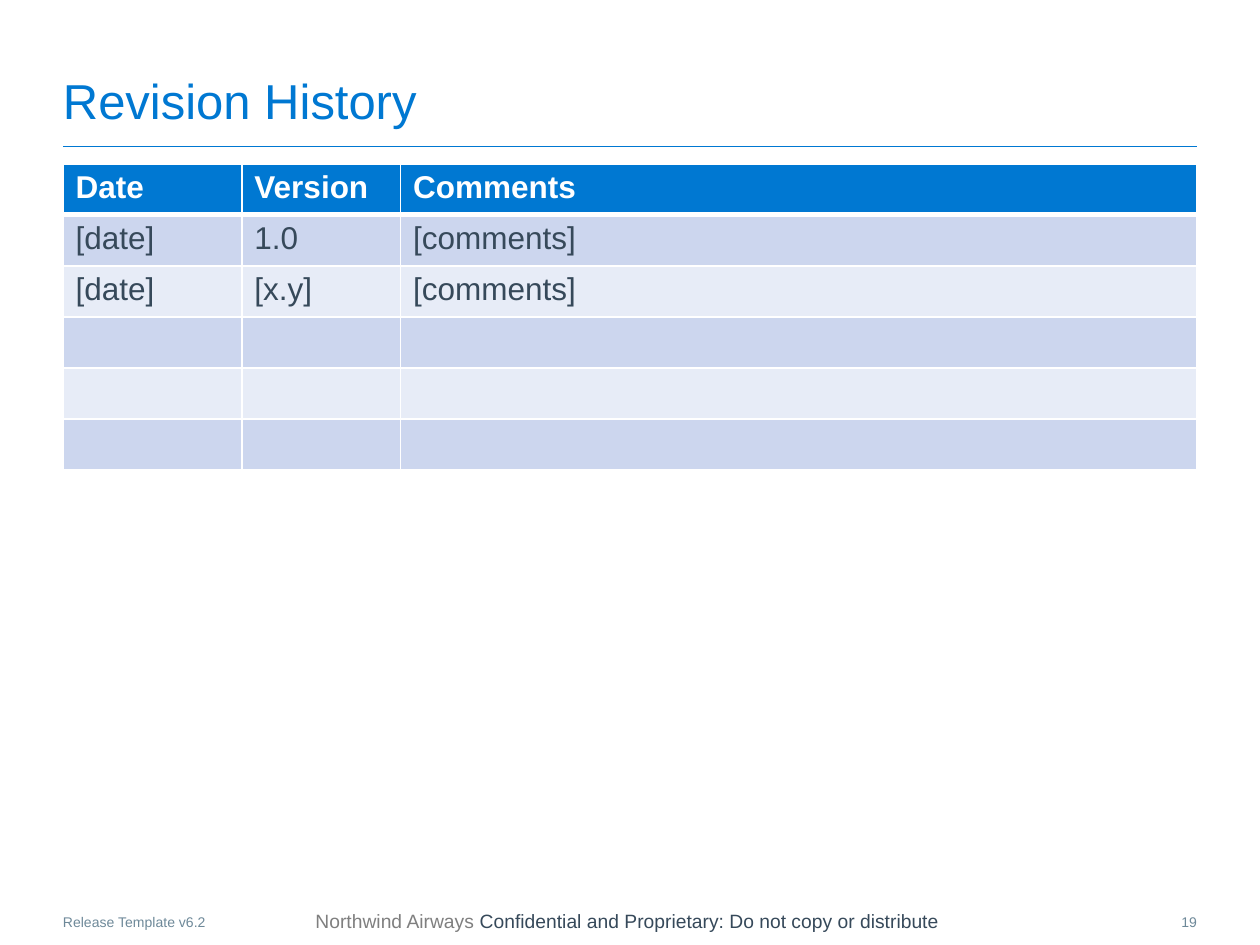
from lxml.etree import SubElement
from pptx import Presentation
from pptx.dml.color import RGBColor
from pptx.enum.shapes import MSO_CONNECTOR
from pptx.enum.text import MSO_ANCHOR as Anchor, PP_ALIGN as Align
from pptx.oxml.ns import qn
from pptx.util import Inches, Pt

BLUE = RGBColor(0x00, 0x78, 0xD2)
SLATE = RGBColor(0x36, 0x49, 0x5A)
GRAY = RGBColor(0x7F, 0x7F, 0x7F)
MUTED = RGBColor(0x6E, 0x89, 0x99)
WHITE = RGBColor(0xFF, 0xFF, 0xFF)
BAND_DARK = RGBColor(0xCC, 0xD6, 0xEE)
BAND_LIGHT = RGBColor(0xE7, 0xEC, 0xF7)
FONT = "Arial"

COLUMN_WIDTHS = (1.42, 1.26, 6.32)
REVISIONS = (
    ("Date", "Version", "Comments"),
    ("[date]", "1.0", "[comments]"),
    ("[date]", "[x.y]", "[comments]"),
    ("", "", ""),
    ("", "", ""),
    ("", "", ""),
)


def style(font, size, color, bold=False):
    font.name = FONT
    font.size = Pt(size)
    font.bold = bold
    font.color.rgb = color


def add_text(slide, box, pieces, size, align=Align.LEFT, anchor=Anchor.TOP, wrap=True):
    """Place one paragraph made of (text, color) pieces."""
    frame = slide.shapes.add_textbox(*map(Inches, box)).text_frame
    frame.margin_left = frame.margin_right = 0
    frame.margin_top = frame.margin_bottom = 0
    frame.word_wrap = wrap
    frame.vertical_anchor = anchor
    paragraph = frame.paragraphs[0]
    paragraph.alignment = align
    for text, color in pieces:
        run = paragraph.add_run()
        run.text = text
        style(run.font, size, color)


def add_header(slide, left, top, width, height):
    # Title above a thin rule
    add_text(slide, (left, top, width, 0.61), [("Revision History", BLUE)], 28,
             anchor=Anchor.BOTTOM)
    rule_y = Inches(top + height)
    rule = slide.shapes.add_connector(MSO_CONNECTOR.STRAIGHT, Inches(left), rule_y,
                                      Inches(left + width), rule_y)
    rule.line.color.rgb = BLUE
    rule.line.width = Pt(0.5)
    SubElement(rule._element.spPr, qn("a:effectLst"))


def set_borders(cell, widths):
    """Draw white borders, widths given as left, right, top, bottom."""
    properties = cell._tc.get_or_add_tcPr()
    for side, width in zip("LRTB", widths):
        border = SubElement(properties, qn(f"a:ln{side}"), w=str(Pt(width)))
        fill = SubElement(border, qn("a:solidFill"))
        SubElement(fill, qn("a:srgbClr"), val=str(WHITE))


def add_revision_table(slide, left, top, width, height):
    table = slide.shapes.add_table(len(REVISIONS), len(COLUMN_WIDTHS), Inches(left),
                                   Inches(top), Inches(width), Inches(height)).table
    for column, column_width in zip(table.columns, COLUMN_WIDTHS):
        column.width = Inches(column_width)

    for r, revision in enumerate(REVISIONS):
        is_heading = r == 0
        band = BLUE if is_heading else (BAND_LIGHT, BAND_DARK)[r % 2]
        # A thicker line parts the heading row from the body
        borders = (1, 1, 3 if r == 1 else 1, 3 if is_heading else 1)
        for c, text in enumerate(revision):
            cell = table.cell(r, c)
            set_borders(cell, borders)
            cell.fill.solid()
            cell.fill.fore_color.rgb = band
            cell.text_frame.text = text
            style(cell.text_frame.paragraphs[0].font, 18,
                  WHITE if is_heading else SLATE, bold=is_heading)


def add_footer(slide, left, top, width, height):
    # Confidentiality notice, centred on the slide
    add_text(slide, (2.01, top, 5.94, height),
             [("Northwind Airways ", GRAY),
              ("Confidential and Proprietary: Do not copy or distribute", SLATE)],
             11, Align.CENTER, Anchor.MIDDLE, wrap=False)
    # Template version and page number
    small_top = top + 0.07
    add_text(slide, (left, small_top, 1.83, 0.14), [("Release Template v6.2", MUTED)], 8)
    add_text(slide, (left + width - 0.35, small_top, 0.35, 0.14), [("19", MUTED)], 8,
             Align.RIGHT)


def main():
    deck = Presentation()
    deck.slide_width, deck.slide_height = Inches(10), Inches(7.5)
    slide = deck.slides.add_slide(deck.slide_layouts[6])
    add_header(slide, 0.5, 0.42, 9, 0.74)
    add_revision_table(slide, 0.5, 1.3, 9, 2.43)
    add_footer(slide, 0.5, 7.18, 9, 0.26)
    deck.save("out.pptx")


if __name__ == "__main__":
    main()
